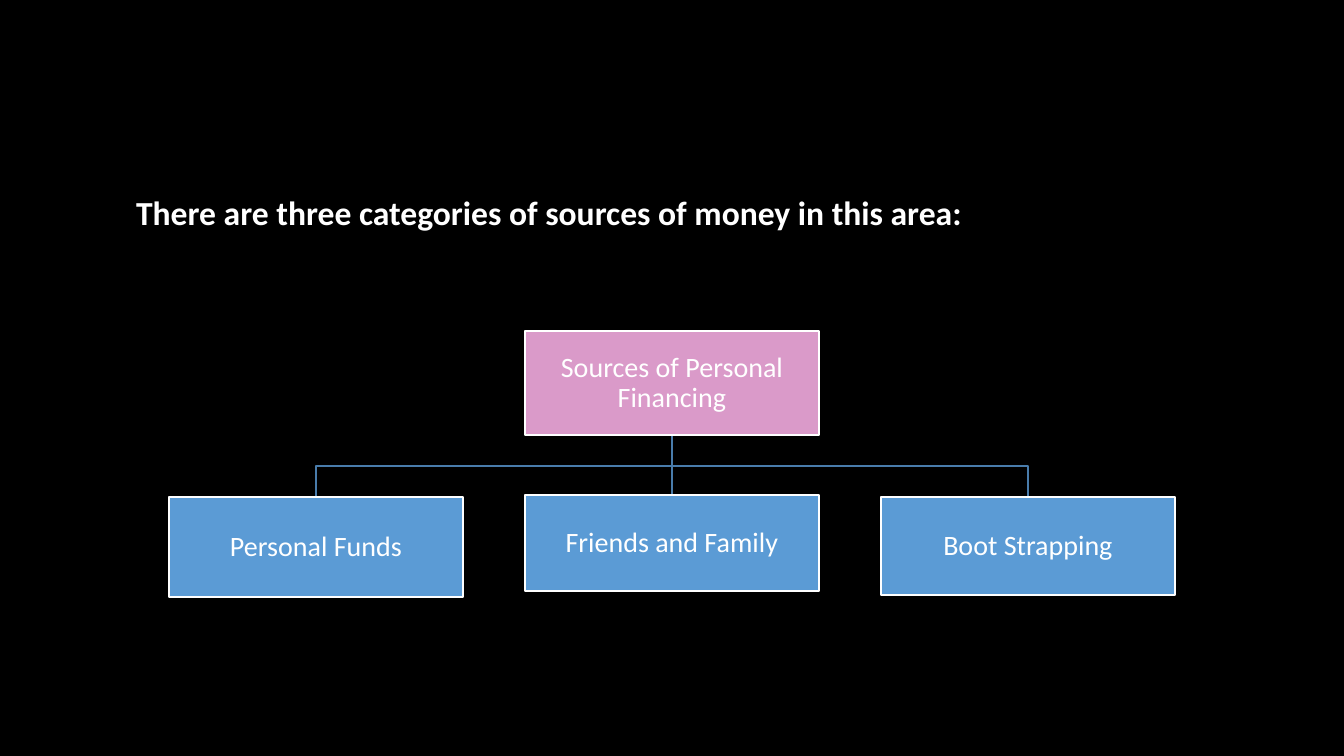
from dataclasses import dataclass

from lxml.etree import SubElement
from pptx import Presentation
from pptx.dml.color import RGBColor
from pptx.enum.shapes import MSO_CONNECTOR, MSO_SHAPE
from pptx.enum.text import MSO_ANCHOR, PP_ALIGN
from pptx.oxml.ns import qn
from pptx.util import Pt

# Content: heading, root box, and sources as (label, top, height)
HEADING = "There are three categories of sources of money in this area:"
ROOT = ("Sources of Personal Financing", 331, 104)
SOURCES = [
    ("Personal Funds", 497, 100),
    ("Friends and Family", 495, 96),
    ("Boot Strapping", 497, 98),
]

# Layout in px
SCALE = 914400 / 100.8
SLIDE_WIDTH, SLIDE_HEIGHT = 1344, 756
CENTRE = SLIDE_WIDTH // 2
BOX_WIDTH, PITCH = 294, 356
BRANCH_Y = 466


@dataclass(frozen=True)
class Theme:
    font: str = "Calibri"
    background: RGBColor = RGBColor.from_string("000000")
    text: RGBColor = RGBColor.from_string("FFFFFF")
    root: RGBColor = RGBColor.from_string("DA9AC9")
    source: RGBColor = RGBColor.from_string("5B9BD5")
    branch: RGBColor = RGBColor.from_string("497CAB")
    heading_size: Pt = Pt(24)
    label_size: Pt = Pt(20)
    line_width: Pt = Pt(1)


THEME = Theme()


def px(length):
    return round(length * SCALE)


def write(frame, words, size, align, anchor, inset, bold=False):
    frame.word_wrap = True
    frame.vertical_anchor = anchor
    if inset is not None:
        frame.margin_left = frame.margin_right = px(inset)
        frame.margin_top = frame.margin_bottom = px(inset)
    paragraph = frame.paragraphs[0]
    paragraph.alignment = align
    paragraph.line_spacing = 0.9
    run = paragraph.add_run()
    run.text = words
    run.font.name = THEME.font
    run.font.size = size
    run.font.bold = bold
    run.font.color.rgb = THEME.text


def outline(part, color):
    part.line.color.rgb = color
    part.line.width = THEME.line_width


def add_box(slide, label, centre, top, height, color):
    box = slide.shapes.add_shape(
        MSO_SHAPE.RECTANGLE,
        px(centre - BOX_WIDTH / 2), px(top), px(BOX_WIDTH), px(height))
    box.shadow.inherit = False
    box.fill.solid()
    box.fill.fore_color.rgb = color
    outline(box, THEME.text)
    write(box.text_frame, label, THEME.label_size,
          PP_ALIGN.CENTER, MSO_ANCHOR.MIDDLE, 1)


def add_branch(slide, start_y, end_x, end_y):
    if end_x == CENTRE:
        branch = slide.shapes.add_connector(
            MSO_CONNECTOR.STRAIGHT, px(CENTRE), px(start_y), px(end_x), px(end_y))
        SubElement(branch._element.spPr, qn("a:effectLst"))
        outline(branch, THEME.branch)
        return
    builder = slide.shapes.build_freeform(CENTRE, start_y, scale=SCALE)
    builder.add_line_segments(
        [(CENTRE, BRANCH_Y), (end_x, BRANCH_Y), (end_x, end_y)], close=False)
    branch = builder.convert_to_shape()
    branch.shadow.inherit = False
    branch.fill.background()
    outline(branch, THEME.branch)


def main():
    deck = Presentation()
    deck.slide_width, deck.slide_height = px(SLIDE_WIDTH), px(SLIDE_HEIGHT)
    slide = deck.slides.add_slide(deck.slide_layouts[5])
    slide.background.fill.solid()
    slide.background.fill.fore_color.rgb = THEME.background

    # Heading
    heading = slide.shapes.title
    heading.left, heading.top = px(126), px(188)
    heading.width, heading.height = px(1008), px(50)
    write(heading.text_frame, HEADING, THEME.heading_size,
          PP_ALIGN.LEFT, MSO_ANCHOR.BOTTOM, None, bold=True)

    # Branches, then the boxes over their ends
    root_label, root_top, root_height = ROOT
    middle = len(SOURCES) // 2
    centres = [CENTRE + (i - middle) * PITCH for i in range(len(SOURCES))]
    for centre, (_, top, _) in zip(centres, SOURCES):
        add_branch(slide, root_top + root_height, centre, top)
    add_box(slide, root_label, CENTRE, root_top, root_height, THEME.root)
    for centre, (label, top, height) in zip(centres, SOURCES):
        add_box(slide, label, centre, top, height, THEME.source)

    deck.save("out.pptx")


if __name__ == "__main__":
    main()
